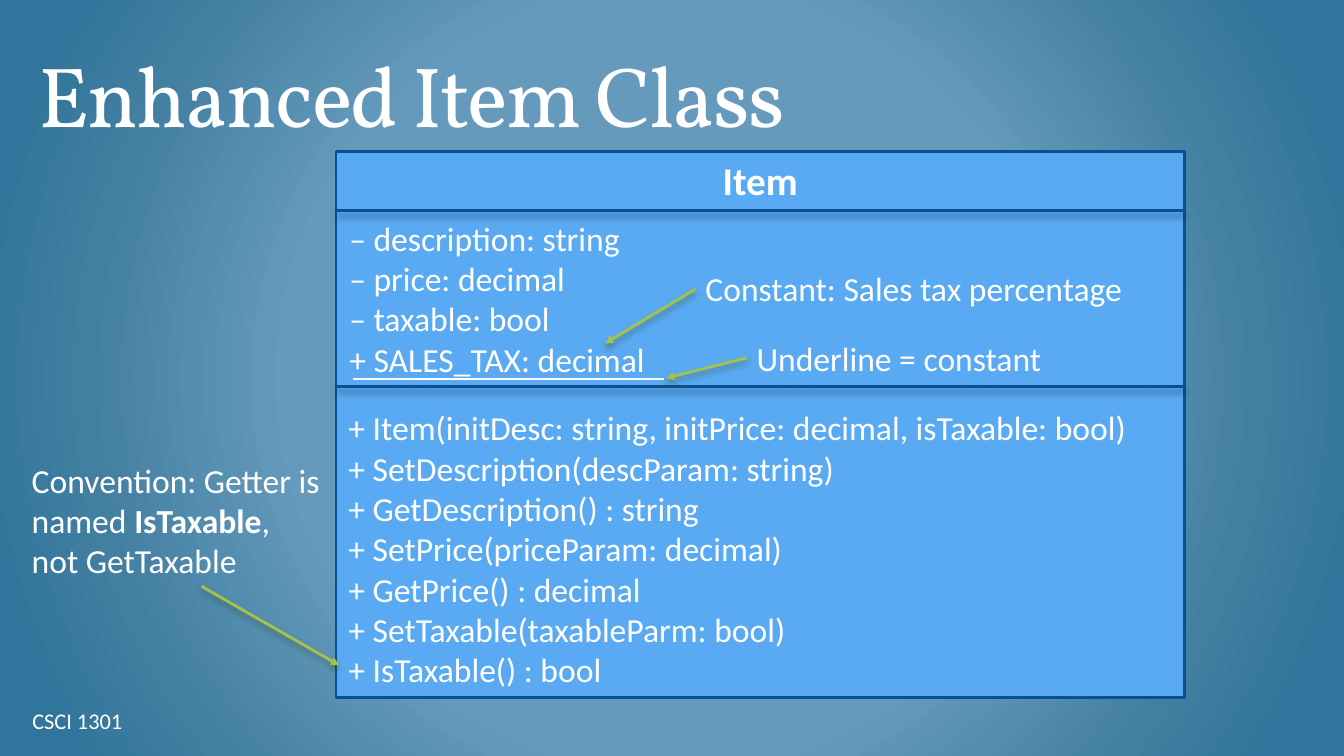
"""Build the Enhanced Item Class slide on a grid of 160 columns by 90 rows."""
from lxml import etree
from pptx import Presentation
from pptx.dml.color import RGBColor
from pptx.enum.shapes import MSO_CONNECTOR, MSO_SHAPE
from pptx.enum.text import MSO_ANCHOR, MSO_AUTO_SIZE, PP_ALIGN
from pptx.oxml import parse_xml
from pptx.oxml.ns import qn
from pptx.util import Inches, Pt

RECT, STRAIGHT = MSO_SHAPE.RECTANGLE, MSO_CONNECTOR.STRAIGHT
TOP, MIDDLE, BOTTOM = MSO_ANCHOR.TOP, MSO_ANCHOR.MIDDLE, MSO_ANCHOR.BOTTOM
GROW, CENTER = MSO_AUTO_SIZE.SHAPE_TO_FIT_TEXT, PP_ALIGN.CENTER
UNIT = Inches(1) / 12
WHITE, BLUE, NAVY, GREEN = "FFFFFF", "59AAF2", "085091", "A5C249"
NAVY_SHADE, GREEN_SHADE = "042747", "3A4519"
STOPS = [(50, "659ABC"), (76, "427FA1"), (92, "30759B")]
NS = 'xmlns:a="http://schemas.openxmlformats.org/drawingml/2006/main"'
NS_P = 'xmlns:p="http://schemas.openxmlformats.org/presentationml/2006/main"'
LEFT, RIGHT, HEAD, SPLIT = 40, 141, 25.1, 46
FIELDS = """– description: string
– price: decimal
– taxable: bool
+ SALES_TAX: decimal"""
METHODS = """+ Item(initDesc: string, initPrice: decimal, isTaxable: bool)
+ SetDescription(descParam: string)
+ GetDescription() : string
+ SetPrice(priceParam: decimal)
+ GetPrice() : decimal
+ SetTaxable(taxableParm: bool)
+ IsTaxable() : bool"""


def grid(*cells):
    """Turn grid cells into lengths."""
    return [round(cell * UNIT) for cell in cells]


def color(code):
    """Turn a hex string into a colour."""
    return RGBColor.from_string(code)


def paint(slide):
    """Fill the background with a radial gradient."""
    stops = "".join(f'<a:gs pos="{pos * 1000}"><a:srgbClr val="{code}"/></a:gs>'
                    for pos, code in STOPS)
    back = parse_xml(
        f'<p:bg {NS_P} {NS}><p:bgPr><a:gradFill><a:gsLst>{stops}</a:gsLst>'
        '<a:path path="circle"><a:fillToRect l="50000" t="50000" r="50000" '
        'b="50000"/></a:path></a:gradFill><a:effectLst/></p:bgPr></p:bg>')
    slide.element.cSld.insert(0, back)


def style(frame, size, font="Calibri"):
    """Set the font of every run in white."""
    for para in frame.paragraphs:
        for run in para.runs:
            run.font.name, run.font.size = font, Pt(size)
            run.font.color.rgb = color(WHITE)


def label(slide, area, text, size=24, font="Calibri", wrap=False, anchor=TOP):
    """Add a text box and return its frame."""
    frame = slide.shapes.add_textbox(*grid(*area)).text_frame
    frame.text = text
    frame.word_wrap, frame.vertical_anchor = wrap, anchor
    if anchor == TOP:
        frame.auto_size = GROW
    style(frame, size, font)
    return frame


def inset(frame, left, right):
    """Set the margins of a frame in inches."""
    frame.margin_left, frame.margin_right = Inches(left), Inches(right)
    frame.margin_top = frame.margin_bottom = Inches(0.07)


def line(slide, start, end, code, width=2, shade=None, arrow=False):
    """Draw a line with an optional shadow and arrowhead."""
    link = slide.shapes.add_connector(STRAIGHT, *grid(*start, *end))
    link.line.color.rgb, link.line.width = color(code), Pt(width)
    if arrow:
        tip = etree.SubElement(link.line._get_or_add_ln(), qn("a:tailEnd"))
        tip.set("type", "triangle")
    glow = (f'<a:outerShdw blurRad="{Pt(4.5)}" dist="{Pt(3)}" dir="5400000" '
            f'rotWithShape="0"><a:srgbClr val="{shade}"><a:alpha val="48000"/>'
            '</a:srgbClr></a:outerShdw>') if shade else ""
    link._element.spPr.append(
        parse_xml(f"<a:effectLst {NS}>{glow}</a:effectLst>"))


def pointer(slide, start, end):
    """Draw a green arrow."""
    line(slide, start, end, GREEN, shade=GREEN_SHADE, arrow=True)


def rule(slide, row):
    """Draw a line across the class box."""
    line(slide, (LEFT, row), (RIGHT, row), NAVY, shade=NAVY_SHADE)


def panel(slide, area, name):
    """Draw the class box with its name on top."""
    box = slide.shapes.add_shape(RECT, *grid(*area))
    box.shadow.inherit = False
    box.fill.solid()
    box.fill.fore_color.rgb = color(BLUE)
    box.line.color.rgb, box.line.width = color(NAVY), Pt(2)
    frame = box.text_frame
    frame.text, frame.vertical_anchor = name, TOP
    frame.paragraphs[0].alignment = CENTER
    style(frame, 28)
    frame.paragraphs[0].runs[0].font.bold = True


def title(slide, text):
    """Add the slide title."""
    frame = label(slide, (3, 3, 154, 15), text, 61, "Vollkorn", True, BOTTOM)
    inset(frame, 0.13, 0.13)
    para = frame.paragraphs[0]
    para.line_spacing = Pt(77.3)
    para.runs[0].font._element.set("spc", "-130")


def remark(slide, area):
    """Add the note on the getter with its name in bold."""
    frame = label(slide, area, "Convention: Getter is named ", wrap=True)
    para = frame.paragraphs[0]
    name = para.add_run()
    name.text, name.font.bold = "IsTaxable", True
    para.add_run().text = ","
    para.add_line_break()
    para.add_run().text = "not GetTaxable"
    style(frame, 24)


def main():
    """Build and save the slide."""
    deck = Presentation()
    deck.slide_width, deck.slide_height = grid(160, 90)
    slide = deck.slides.add_slide(deck.slide_layouts[6])
    paint(slide)
    title(slide, "Enhanced Item Class")
    foot = label(slide, (3, 83.4, 49.8, 4.8), "CSCI 1301", 16,
                 wrap=True, anchor=MIDDLE)
    inset(foot, 0.07, 0.13)
    panel(slide, (LEFT, 18, RIGHT - LEFT, 65), "Item")
    rule(slide, HEAD)
    label(slide, (40.4, 25.3, 40, 20.6), FIELDS)
    label(slide, (40.3, 47.9, 99.5, 35.2), METHODS)
    rule(slide, SPLIT)
    pointer(slide, (24, 69.8), (40.4, 79.2))
    remark(slide, (2.6, 54.1, 37, 15.7))
    label(slide, (82.8, 31.3, 55.2, 6), "Constant: Sales tax percentage")
    line(slide, (42, 45.1), (79, 45.1), WHITE, 1.5)
    pointer(slide, (82.8, 34.4), (72, 40.9))
    label(slide, (88.9, 39.6, 38, 6), "Underline = constant")
    pointer(slide, (88.9, 42.6), (79.3, 45))
    deck.save("out.pptx")


if __name__ == "__main__":
    main()
